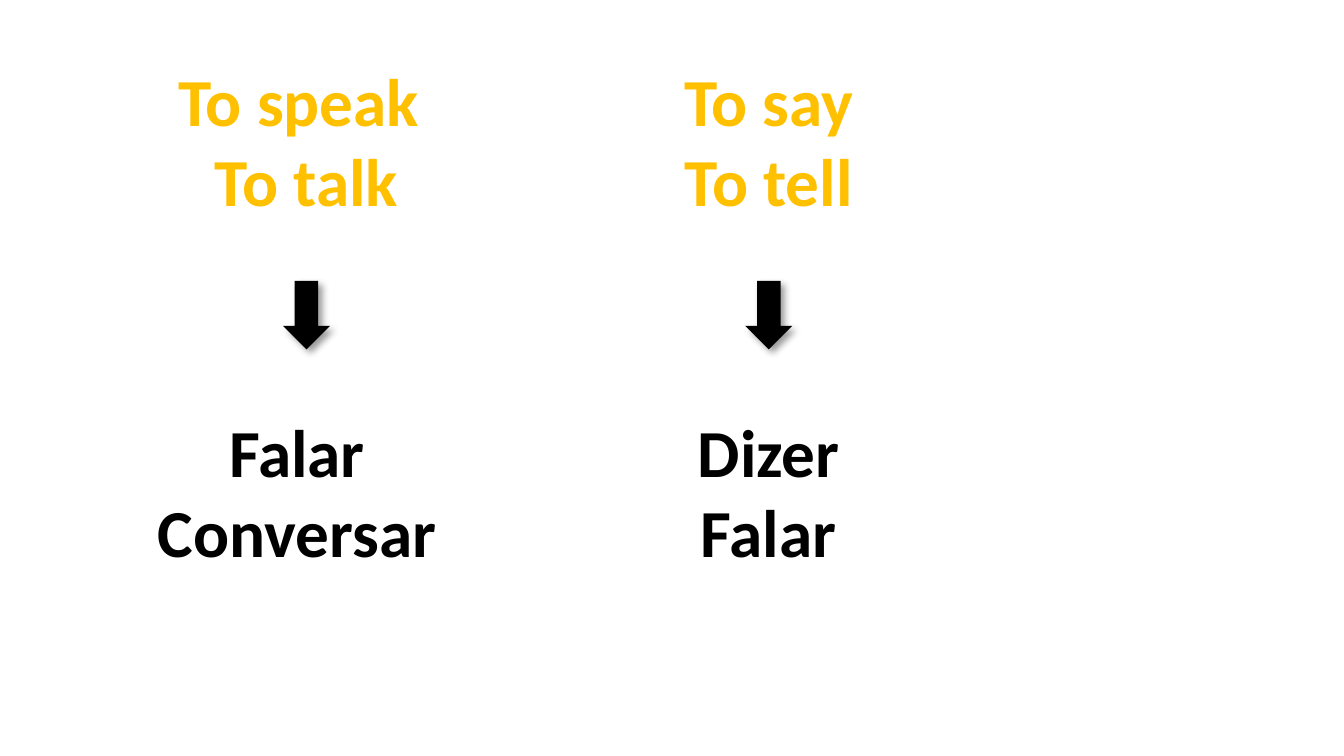
from dataclasses import dataclass

from lxml import etree
from pptx import Presentation
from pptx import util as u
from pptx.dml.color import RGBColor
from pptx.enum import shapes, text
from pptx.oxml.ns import qn


@dataclass(frozen=True)
class Theme:
    english: str = "FFC000"
    portuguese: str = "000000"
    arrow: str = "000000"
    font: str = "Calibri"
    size: int = 36


THEME = Theme()
WIDTH = 10
HEIGHT = WIDTH * 9 / 16

VERBS = [
    {"center": 2.28, "meaning_center": 2.21,
     "english": ["To speak ", "To talk"], "portuguese": ["Falar", "Conversar"]},
    {"center": 5.72, "meaning_center": 5.72,
     "english": ["To say", "To tell"], "portuguese": ["Dizer", "Falar"]},
]
ENGLISH_TOP, PORTUGUESE_TOP, ARROW_TOP = 0.4, 3.01, 2.17
WORDS_WIDTH, WORDS_HEIGHT = WIDTH / 2, 1.29
ARROW_LENGTH, ARROW_BREADTH = 0.51, 0.35


def frame(center, top, width, height):
    return [u.Inches(v) for v in (center - width / 2, top, width, height)]


def add_words(slide, words, center, top, color):
    box = slide.shapes.add_textbox(*frame(center, top, WORDS_WIDTH, WORDS_HEIGHT))
    body = box.text_frame
    body.word_wrap = True
    body.auto_size = text.MSO_AUTO_SIZE.SHAPE_TO_FIT_TEXT
    body.margin_left = body.margin_right = u.Inches(0.07)
    body.margin_top = body.margin_bottom = u.Inches(0.04)
    for index, word in enumerate(words):
        line = body.add_paragraph() if index else body.paragraphs[0]
        line.alignment = text.PP_ALIGN.CENTER
        run = line.add_run()
        run.text = word
        run.font.name = THEME.font
        run.font.size = u.Pt(THEME.size)
        run.font.bold = True
        run.font.color.rgb = RGBColor.from_string(color)


def add_arrow(slide, center):
    arrow = slide.shapes.add_shape(
        shapes.MSO_SHAPE.RIGHT_ARROW,
        *frame(center, ARROW_TOP, ARROW_LENGTH, ARROW_BREADTH))
    arrow.rotation = 90
    arrow.fill.solid()
    arrow.fill.fore_color.rgb = RGBColor.from_string(THEME.arrow)
    arrow.line.fill.background()
    arrow.shadow.inherit = False
    effects = arrow.element.spPr.find(qn("a:effectLst"))
    shadow = etree.SubElement(
        effects, qn("a:outerShdw"), blurRad=str(u.Pt(4)), dist=str(u.Pt(3)),
        dir=str(45 * 60000), algn="tl", rotWithShape="0")
    color = etree.SubElement(shadow, qn("a:srgbClr"), val=THEME.arrow)
    etree.SubElement(color, qn("a:alpha"), val="40000")


def main():
    deck = Presentation()
    deck.slide_width, deck.slide_height = u.Inches(WIDTH), u.Inches(HEIGHT)
    slide = deck.slides.add_slide(deck.slide_layouts[6])
    for verb in VERBS:
        add_words(slide, verb["english"], verb["center"], ENGLISH_TOP, THEME.english)
        add_arrow(slide, verb["center"])
        add_words(slide, verb["portuguese"], verb["meaning_center"],
                  PORTUGUESE_TOP, THEME.portuguese)
    deck.save("out.pptx")


if __name__ == "__main__":
    main()
